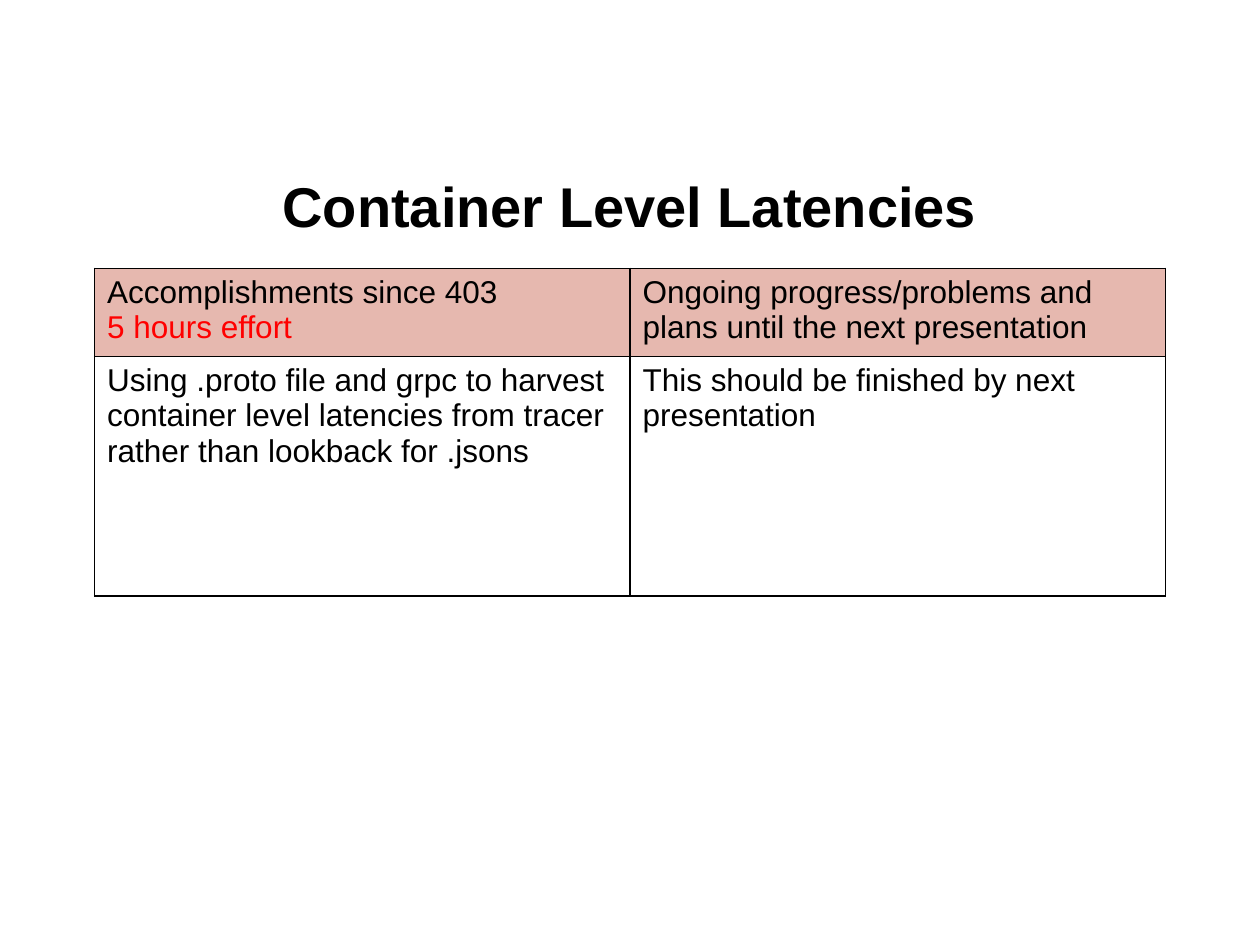
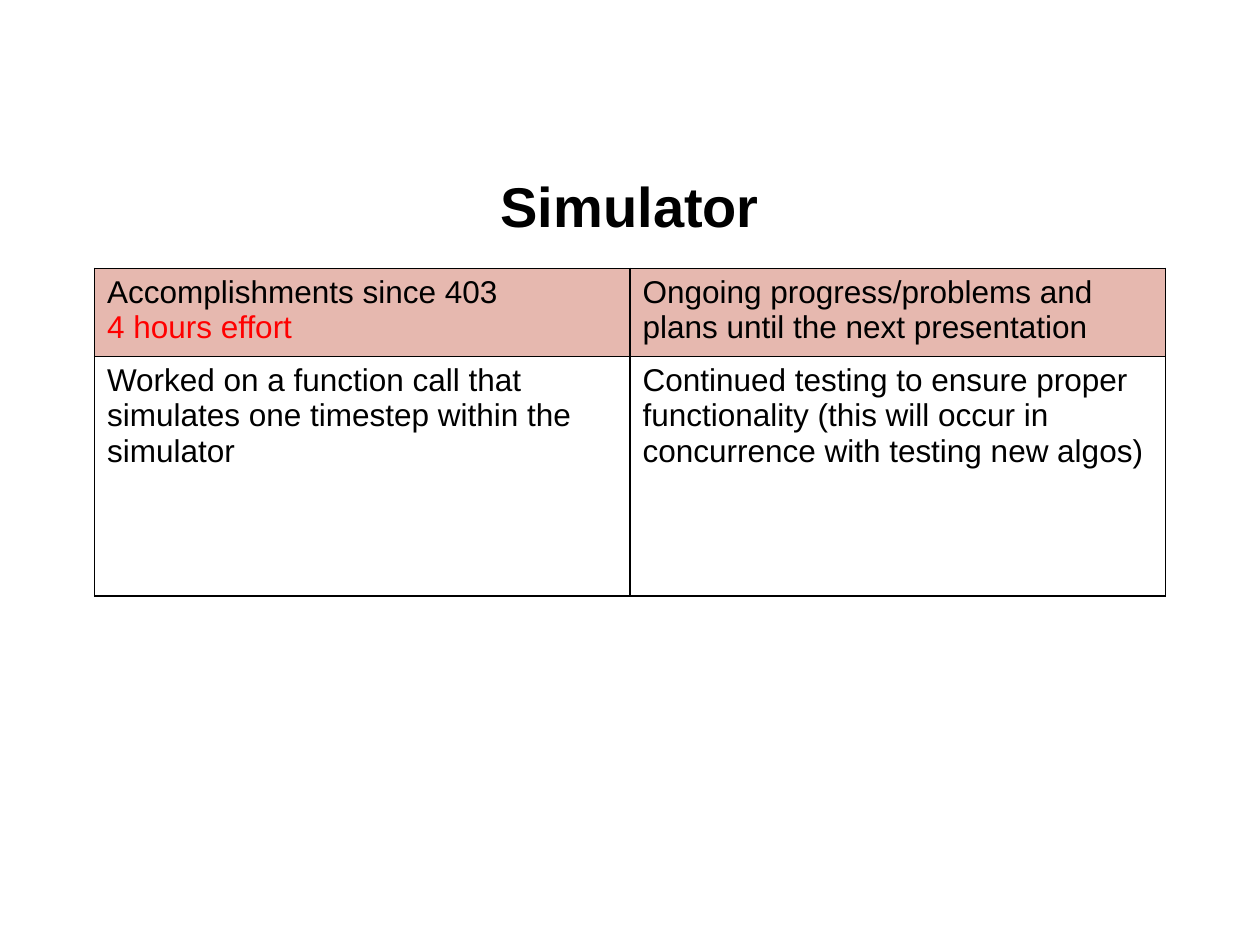
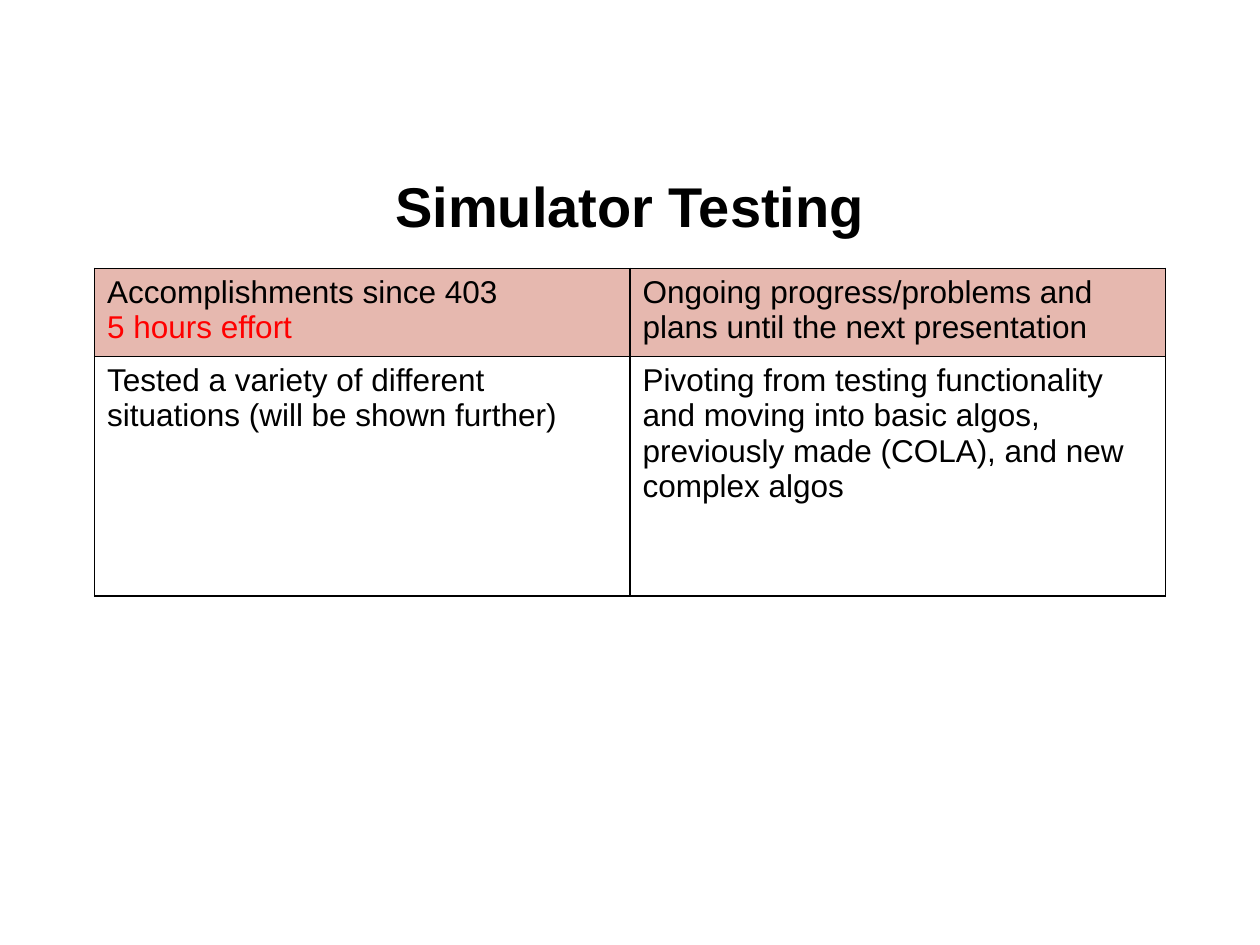
import pptx
import pptx.util
import pptx.dml.color
import pptx.enum.text
import pptx.oxml
import pptx.oxml.ns

Inches = pptx.util.Inches
Pt = pptx.util.Pt

COLORS = {"text": "000000", "effort": "FF0000", "header": "E6B8AF", "border": "000000"}
FONT = "Arial"
ROW_HEIGHTS = [0.7, 1.9]
COL_WIDTH = 4.25

# Title, hours of effort, accomplishments, plans
REPORTS = [
    ("Container Level Latencies", 5,
     "Using .proto file and grpc to harvest container level latencies from tracer "
     "rather than lookback for .jsons",
     "This should be finished by next presentation"),
    ("Simulator", 4,
     "Worked on a function call that simulates one timestep within the simulator",
     "Continued testing to ensure proper functionality (this will occur in "
     "concurrence with testing new algos)"),
    ("Simulator Testing", 5,
     "Tested a variety of different situations (will be shown further)",
     "Pivoting from testing functionality and moving into basic algos, "
     "previously made (COLA), and new complex algos"),
]


def write(p, text, size=18, color="text", bold=False, align=None, spacing=None):
    """Add formatted text to a paragraph."""
    p.alignment = align
    p.line_spacing = spacing
    r = p.add_run()
    r.text = text
    r.font.name = FONT
    r.font.size = Pt(size)
    r.font.bold = bold
    r.font.color.rgb = pptx.dml.color.RGBColor.from_string(COLORS[color])


def add_borders(cell):
    """Draw a 1 pt line on each side of a table cell."""
    tc_pr = cell._tc.get_or_add_tcPr()
    for side in ("lnL", "lnR", "lnT", "lnB"):
        tc_pr.append(pptx.oxml.parse_xml(
            f'<a:{side} {pptx.oxml.ns.nsdecls("a")} w="{Pt(1)}"><a:solidFill>'
            f'<a:srgbClr val="{COLORS["border"]}"/></a:solidFill></a:{side}>'))


prs = pptx.Presentation()
prs.slide_width = Inches(10)
prs.slide_height = Inches(7.5)

for title, hours, done, plans in REPORTS:
    s = prs.slides.add_slide(prs.slide_layouts[6])

    # Title
    sp = s.shapes.add_textbox(Inches(0.5), Inches(1.15), Inches(9), Inches(0.88))
    tf = sp.text_frame
    tf.word_wrap = True
    tf.vertical_anchor = pptx.enum.text.MSO_ANCHOR.MIDDLE
    write(tf.paragraphs[0], title, size=32, bold=True,
          align=pptx.enum.text.PP_ALIGN.CENTER, spacing=1.15)

    # Status table
    table = s.shapes.add_table(2, 2, Inches(0.75), Inches(2.13),
                               Inches(2 * COL_WIDTH), Inches(sum(ROW_HEIGHTS))).table
    table.first_row = False
    table.horz_banding = False
    for row, height in zip(table.rows, ROW_HEIGHTS):
        row.height = Inches(height)
    for cell in table.iter_cells():
        add_borders(cell)

    # Header row
    for cell in table.rows[0].cells:
        cell.fill.solid()
        cell.fill.fore_color.rgb = pptx.dml.color.RGBColor.from_string(COLORS["header"])
    tf = table.cell(0, 0).text_frame
    write(tf.paragraphs[0], "Accomplishments since 403")
    write(tf.add_paragraph(), f"{hours} hours effort", color="effort")
    write(table.cell(0, 1).text_frame.paragraphs[0],
          "Ongoing progress/problems and plans until the next presentation")

    # Body row
    for cell, text in zip(table.rows[1].cells, (done, plans)):
        cell.fill.background()
        write(cell.text_frame.paragraphs[0], text)

prs.save("out.pptx")
